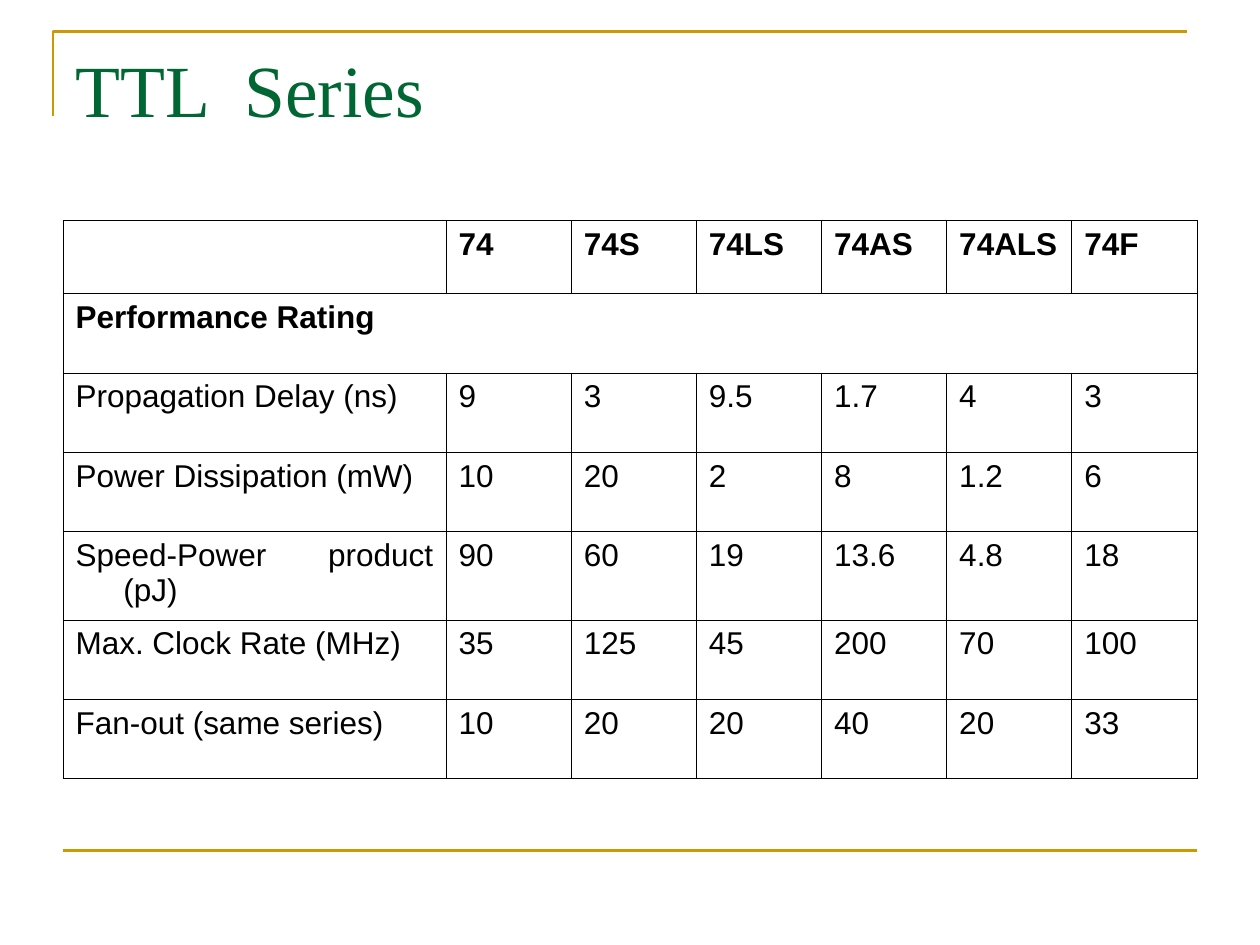
from lxml.etree import SubElement
from pptx import Presentation
from pptx.dml.color import RGBColor
from pptx.enum.shapes import MSO_CONNECTOR
from pptx.enum.text import MSO_ANCHOR, PP_ALIGN
from pptx.oxml.ns import qn
from pptx.util import Inches, Pt

COLORS = {"rule": "CC9900", "title": "006633", "text": "000000", "border": "000000"}
PAGE_WIDTH, PAGE_HEIGHT = 10, 7.5
MARGIN = PAGE_WIDTH / 20
CONTENT_WIDTH = PAGE_WIDTH - 2 * MARGIN

LABEL_WIDTH = 3.04
ROW_HEIGHTS = [0.58, 0.63, 0.63, 0.63, 0.7, 0.63, 0.63]
HANGING_INDENT = 0.38
BOLD_ROWS = 2
ROWS = [
    ["", "74", "74S", "74LS", "74AS", "74ALS", "74F"],
    ["Performance Rating"],
    ["Propagation Delay (ns)", "9", "3", "9.5", "1.7", "4", "3"],
    ["Power Dissipation (mW)", "10", "20", "2", "8", "1.2", "6"],
    ["Speed-Power product (pJ)", "90", "60", "19", "13.6", "4.8", "18"],
    ["Max. Clock Rate (MHz)", "35", "125", "45", "200", "70", "100"],
    ["Fan-out (same series)", "10", "20", "20", "40", "20", "33"],
]


def color(name):
    return RGBColor.from_string(COLORS[name])


def style_rule(shape):
    shape.line.color.rgb = color("rule")
    shape.line.width = Pt(1.5)


def add_corner_rule(page, left, top, width, height):
    """Draw the open bracket that frames the title's upper left corner."""
    builder = page.shapes.build_freeform(Inches(left), Inches(top + height))
    builder.add_line_segments(
        [(Inches(left), Inches(top)), (Inches(left + width), Inches(top))], close=False
    )
    bracket = builder.convert_to_shape()
    bracket.shadow.inherit = False
    bracket.fill.background()
    style_rule(bracket)


def add_footer_rule(page, left, top, width):
    rule = page.shapes.add_connector(
        MSO_CONNECTOR.STRAIGHT,
        Inches(left), Inches(top), Inches(left + width), Inches(top),
    )
    style_rule(rule)
    SubElement(rule._element.spPr, qn("a:effectLst"))


def place_title(page, text, left, top, width, height):
    title = page.shapes.title
    title.left, title.top = Inches(left), Inches(top)
    title.width, title.height = Inches(width), Inches(height)
    frame = title.text_frame
    frame.text = text
    frame.word_wrap = True
    frame.vertical_anchor = MSO_ANCHOR.TOP
    para = frame.paragraphs[0]
    para.alignment = PP_ALIGN.LEFT
    font = para.runs[0].font
    font.name, font.size = "Times New Roman", Pt(42)
    font.color.rgb = color("title")


def format_cell(cell, bold):
    properties = cell._tc.get_or_add_tcPr()
    for side in ("lnL", "lnR", "lnT", "lnB"):
        line = SubElement(properties, qn(f"a:{side}"), w=str(Pt(0.45)))
        fill = SubElement(line, qn("a:solidFill"))
        SubElement(fill, qn("a:srgbClr"), val=COLORS["border"])
    cell.fill.background()
    para = cell.text_frame.paragraphs[0]
    para.alignment = PP_ALIGN.JUSTIFY
    indent = Inches(HANGING_INDENT)
    para_properties = para._p.get_or_add_pPr()
    para_properties.set("marL", str(indent))
    para_properties.set("indent", str(-indent))
    for span in para.runs:
        span.font.name, span.font.size = "Arial", Pt(18)
        span.font.bold = bold
        span.font.color.rgb = color("text")


def add_series_table(page, left, top, width):
    column_count = len(ROWS[0])
    frame = page.shapes.add_table(
        len(ROWS), column_count,
        Inches(left), Inches(top), Inches(width), Inches(sum(ROW_HEIGHTS)),
    )
    table = frame.table
    table.first_row = table.horz_banding = False
    value_width = (width - LABEL_WIDTH) / (column_count - 1)
    for index, column in enumerate(table.columns):
        column.width = Inches(value_width if index else LABEL_WIDTH)
    for row_index, values in enumerate(ROWS):
        table.rows[row_index].height = Inches(ROW_HEIGHTS[row_index])
        for column_index, value in enumerate(values):
            table.cell(row_index, column_index).text = value
        for cell in table.rows[row_index].cells:
            format_cell(cell, bold=row_index < BOLD_ROWS)
        if len(values) == 1:
            table.cell(row_index, 0).merge(table.cell(row_index, column_count - 1))


def main():
    deck = Presentation()
    deck.slide_width, deck.slide_height = Inches(PAGE_WIDTH), Inches(PAGE_HEIGHT)
    page = deck.slides.add_slide(deck.slide_layouts[5])
    add_corner_rule(page, 0.42, 0.25, CONTENT_WIDTH, 0.67)
    add_footer_rule(page, MARGIN, PAGE_HEIGHT * 0.9, CONTENT_WIDTH)
    place_title(page, "TTL  Series", MARGIN, 0.3, CONTENT_WIDTH, 1.25)
    add_series_table(page, MARGIN, 1.75, CONTENT_WIDTH)
    deck.save("out.pptx")


if __name__ == "__main__":
    main()
